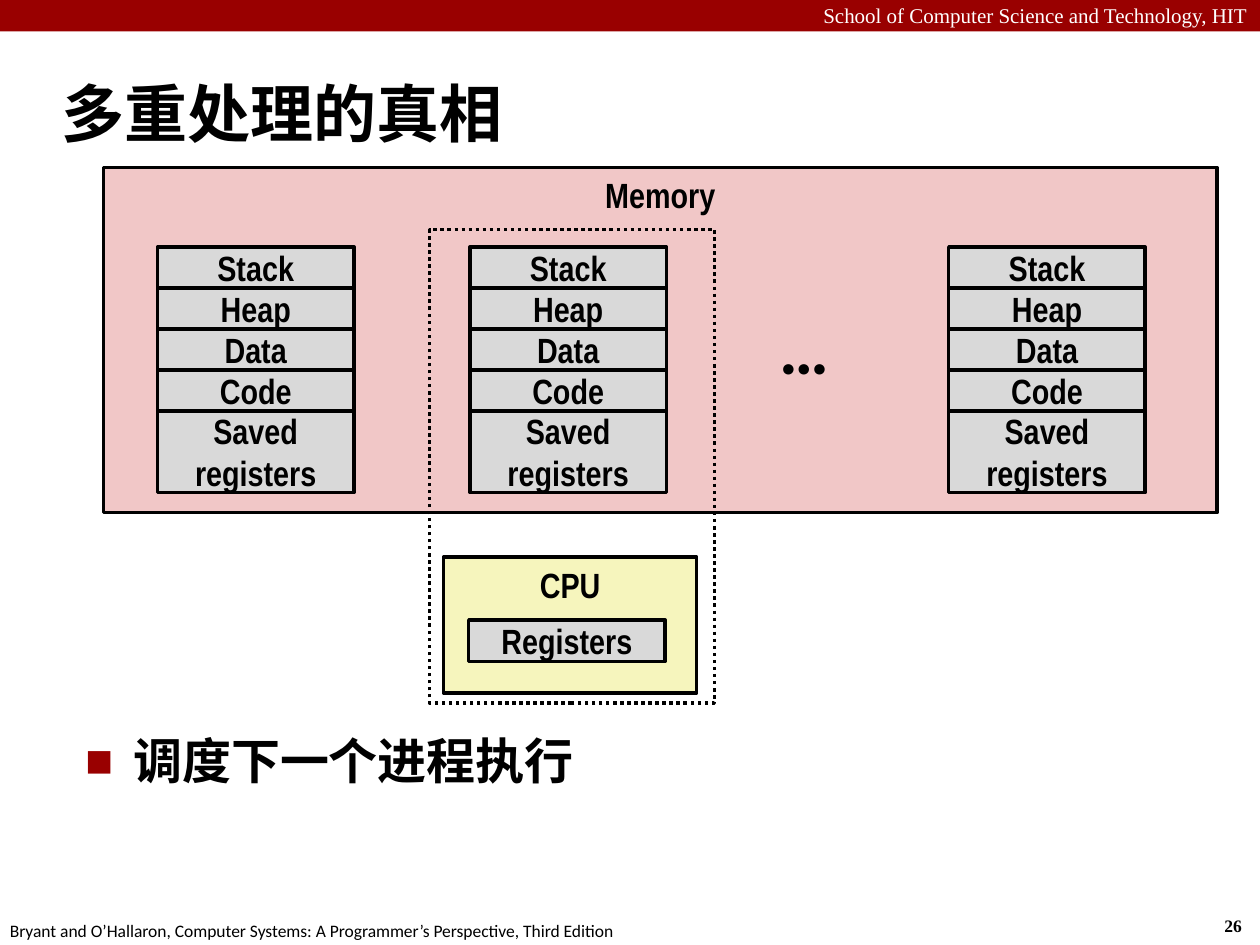
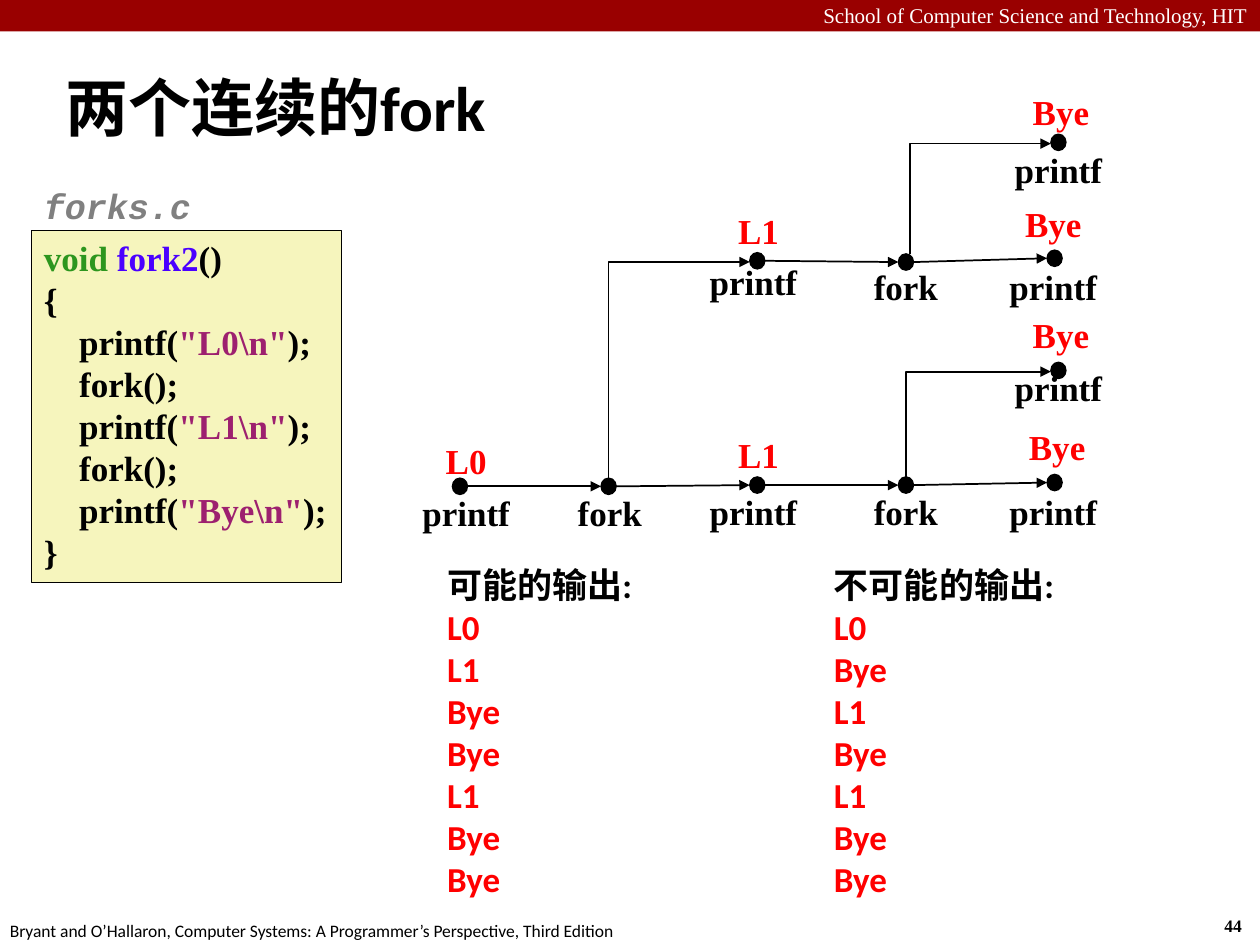
import pptx
import pptx.util
import pptx.dml.color
import pptx.enum.dml
import pptx.enum.shapes
import pptx.enum.text
import pptx.oxml.ns
import lxml.etree
from dataclasses import dataclass

Inches = pptx.util.Inches
Points = pptx.util.Pt
qualified = pptx.oxml.ns.qn
SHAPES = pptx.enum.shapes.MSO_SHAPE
CONNECTORS = pptx.enum.shapes.MSO_CONNECTOR
ALIGN = pptx.enum.text.PP_ALIGN
ANCHOR = pptx.enum.text.MSO_ANCHOR


@dataclass(frozen=True)
class Theme:
    black: str = "000000"
    white: str = "FFFFFF"
    crimson: str = "990000"
    red: str = "FF0000"
    pink: str = "F1C7C7"
    yellow: str = "F6F5BD"
    gray: str = "D9D9D9"
    file_gray: str = "808080"
    keyword: str = "2D961E"
    function: str = "4A00FF"
    string: str = "9D206F"
    sans: str = "Calibri"
    narrow: str = "Arial Narrow"
    serif: str = "Times New Roman"
    mono: str = "Courier New"
    title: int = 36
    body: int = 28
    label: int = 20
    header: int = 12
    footer: int = 10
    ellipsis: int = 40


THEME = Theme()
WIDTH, HEIGHT = 10, 7.5

# ---- Content shared by the slides
HEADER = "School of Computer Science and Technology, HIT"
FOOTER = ("Bryant and O’Hallaron, Computer Systems: "
          "A Programmer’s Perspective, Third Edition")

# ---- Content of the multiprocessing slide
MULTI_TITLE = "多重处理的真相"
MULTI_POINT = "调度下一个进程执行"
SEGMENTS = [("Stack", 1), ("Heap", 1), ("Data", 1), ("Code", 1), ("Saved registers", 2)]
PROCESS_LEFTS = [1.25, 3.73, 7.53]
PROCESS_TOP, SEGMENT_WIDTH, SEGMENT_HEIGHT = 1.96, 1.56, 0.325

# ---- Content of the fork slide
FORK_TITLE = "两个连续的fork"
FILE_NAME = "forks.c"
# Each line: indent level, then coloured pieces
CODE = [
    (0, [("void ", THEME.keyword), ("fork2", THEME.function), ("()", THEME.black)]),
    (0, [("{", THEME.black)]),
    (1, [("printf(", THEME.black), ('"L0\\n"', THEME.string), (");", THEME.black)]),
    (1, [("fork();", THEME.black)]),
    (1, [("printf(", THEME.black), ('"L1\\n"', THEME.string), (");", THEME.black)]),
    (1, [("fork();", THEME.black)]),
    (1, [("printf(", THEME.black), ('"Bye\\n"', THEME.string), (");", THEME.black)]),
    (0, [("}", THEME.black)]),
]
# Each event: centre x, centre y, call, call centre x, call top
EVENTS = {
    "start": (3.65, 3.86, "printf", 3.7, 3.85),
    "first fork": (4.83, 3.86, "fork", 4.84, 3.85),
    "parent L1": (6.01, 3.85, "printf", 5.98, 3.84),
    "parent fork": (7.19, 3.85, "fork", 7.19, 3.84),
    "parent bye": (8.37, 3.83, "printf", 8.36, 3.84),
    "parent child bye": (8.4, 2.94, "printf", 8.4, 2.86),
    "child L1": (6.01, 2.07, "printf", 5.98, 2.02),
    "child fork": (7.19, 2.08, "fork", 7.19, 2.06),
    "child bye": (8.37, 2.05, "printf", 8.36, 2.06),
    "child child bye": (8.4, 1.13, "printf", 8.4, 1.13),
}
# Each output: text, centre x, top
OUTPUTS = [
    ("L0", 3.7, 3.44), ("L1", 6.02, 3.39), ("L1", 6.02, 1.61),
    ("Bye", 8.42, 0.67), ("Bye", 8.36, 1.56), ("Bye", 8.42, 2.44), ("Bye", 8.39, 3.33),
]
STEPS = [
    ("start", "first fork"), ("first fork", "parent L1"), ("parent L1", "parent fork"),
    ("parent fork", "parent bye"), ("child L1", "child fork"), ("child fork", "child bye"),
]
# Each branch: fork, child, x of the riser
BRANCHES = [
    ("first fork", "child L1", 4.83), ("parent fork", "parent child bye", 7.19),
    ("child fork", "child child bye", 7.22),
]
SEQUENCES = [
    (3.45, 1.68, "可能的输出:", "L0 L1 Bye Bye L1 Bye Bye"),
    (6.52, 1.96, "不可能的输出:", "L0 Bye L1 Bye L1 Bye Bye"),
]


def color(value):
    return pptx.dml.color.RGBColor.from_string(value)


def set_all(target, values):
    for name, value in values.items():
        setattr(target, name, value)


def write(shape, lines, size, font, tint=THEME.black, align=ALIGN.LEFT,
          anchor=ANCHOR.TOP, wrap=True, bold=True, italic=False):
    """Each line is a string or a list of (text, colour) pieces."""
    frame = shape.text_frame
    set_all(frame, {"word_wrap": wrap, "vertical_anchor": anchor})
    for index, line in enumerate(lines):
        paragraph = frame.paragraphs[0] if index == 0 else frame.add_paragraph()
        paragraph.alignment = align
        pieces = [(line, tint)] if isinstance(line, str) else line
        for text, piece_color in pieces:
            run = paragraph.add_run()
            run.text = text
            set_all(run.font, {"name": font, "size": Points(size),
                               "bold": bold, "italic": italic})
            run.font.color.rgb = color(piece_color)
    return frame


def add_text(slide, box, lines, size, font, **style):
    textbox = slide.shapes.add_textbox(*map(Inches, box))
    return write(textbox, lines, size, font, **style)


def add_shape(slide, box, fill=None, line_width=None, kind=SHAPES.RECTANGLE):
    shape = slide.shapes.add_shape(kind, *map(Inches, box))
    shape.shadow.inherit = False
    if fill:
        shape.fill.solid()
        shape.fill.fore_color.rgb = color(fill)
    else:
        shape.fill.background()
    if line_width:
        shape.line.color.rgb = color(THEME.black)
        shape.line.width = Points(line_width)
    else:
        shape.line.fill.background()
    return shape


def add_block(slide, box, fill, text, anchor=ANCHOR.MIDDLE):
    shape = add_shape(slide, box, fill, 2)
    write(shape, [text], THEME.label, THEME.narrow, align=ALIGN.CENTER, anchor=anchor)


def add_arrow(slide, kind, start, end):
    connector = slide.shapes.add_connector(kind, *map(Inches, start + end))
    connector.line.color.rgb = color(THEME.black)
    connector.line.width = Points(1)
    lxml.etree.SubElement(connector.line._get_or_add_ln(), qualified("a:tailEnd"),
                          type="triangle")
    properties = connector._element.spPr
    lxml.etree.SubElement(properties, qualified("a:effectLst"))
    return properties


def add_branch(slide, start, end):
    """Right-angled arrow that rises from start, then runs right to end."""
    run, rise = end[0] - start[0], start[1] - end[1]
    middle_x, middle_y = (start[0] + end[0]) / 2, (start[1] + end[1]) / 2
    # The two-segment connector is laid on its side and then turned upright
    properties = add_arrow(slide, CONNECTORS.ELBOW,
                           (middle_x - rise / 2, middle_y - run / 2),
                           (middle_x + rise / 2, middle_y + run / 2))
    properties.find(qualified("a:prstGeom")).set("prst", "bentConnector2")
    for name, value in {"rot": "5400000", "flipH": "1", "flipV": "1"}.items():
        properties.find(qualified("a:xfrm")).set(name, value)


def add_bullet(paragraph):
    properties = paragraph._p.get_or_add_pPr()
    properties.set("marL", str(Inches(0.38)))
    properties.set("indent", str(-Inches(0.38)))
    tint = lxml.etree.SubElement(properties, qualified("a:buClr"))
    lxml.etree.SubElement(tint, qualified("a:srgbClr"), val=THEME.crimson)
    lxml.etree.SubElement(properties, qualified("a:buSzPct"), val="60000")
    lxml.etree.SubElement(properties, qualified("a:buFont"), typeface=THEME.sans)
    lxml.etree.SubElement(properties, qualified("a:buChar"), char="■")


def add_base_slide(presentation, title, title_box, number):
    """Blank slide with header band, footer, page number and title."""
    slide = presentation.slides.add_slide(presentation.slide_layouts[6])
    add_shape(slide, (0, 0, WIDTH, 0.25), THEME.crimson)
    add_text(slide, (0, -0.03, WIDTH, 0.3), [HEADER], THEME.header, THEME.serif,
             tint=THEME.white, align=ALIGN.RIGHT, bold=False)
    add_text(slide, (-0.02, 7.25, 5.08, 0.27), [FOOTER], THEME.footer, THEME.sans,
             bold=False, wrap=False)
    add_text(slide, (9.62, 7.21, 0.37, 0.27), [number], THEME.footer, THEME.serif,
             wrap=False)
    add_text(slide, title_box, [title], THEME.title, THEME.sans, anchor=ANCHOR.MIDDLE)
    return slide


def build_multiprocessing(presentation):
    slide = add_base_slide(presentation, MULTI_TITLE, (0.39, 0.48, 9.28, 0.83), "26")
    frame = add_text(slide, (0.58, 5.75, 9.33, 0.58), [MULTI_POINT], THEME.body, THEME.sans)
    add_bullet(frame.paragraphs[0])

    # Processor and memory
    add_block(slide, (3.52, 4.42, 2.01, 1.08), THEME.yellow, "CPU", ANCHOR.TOP)
    add_block(slide, (3.72, 4.92, SEGMENT_WIDTH, 0.33), THEME.gray, "Registers")
    add_block(slide, (0.82, 1.33, 8.84, 2.74), THEME.pink, "Memory", ANCHOR.TOP)

    # Address space of each process
    for left in PROCESS_LEFTS:
        top = PROCESS_TOP
        for text, rows in SEGMENTS:
            height = rows * SEGMENT_HEIGHT
            add_block(slide, (left, top, SEGMENT_WIDTH, height), THEME.gray, text)
            top += height
    add_text(slide, (6.09, 2.37, 0.6, 0.77), ["…"], THEME.ellipsis, THEME.sans, wrap=False)

    # Outline around the running process
    outline = add_shape(slide, (3.41, 1.82, 2.26, 3.76), line_width=2)
    outline.line.dash_style = pptx.enum.dml.MSO_LINE.ROUND_DOT


def build_fork(presentation):
    slide = add_base_slide(presentation, FORK_TITLE, (0.42, 0.33, 9.33, 1.03), "44")

    # Source code
    code = add_shape(slide, (0.25, 1.83, 2.46, 2.79), THEME.yellow, 0.25)
    frame = write(code, [pieces for _, pieces in CODE], THEME.label, THEME.serif, wrap=False)
    for paragraph, (level, _) in zip(frame.paragraphs, CODE):
        paragraph._p.get_or_add_pPr().set("marL", str(Inches(0.28 * level)))
    frame = add_text(slide, (0.25, 1.44, 2.46, 0.42), [FILE_NAME], THEME.label, THEME.mono,
                     tint=THEME.file_gray, italic=True)
    frame.paragraphs[0].line_spacing = 0.94

    # Process graph
    dot_width, dot_height, label_width, label_height = 0.12, 0.13, 1.2, 0.55
    for x, y, call, call_x, call_top in EVENTS.values():
        add_shape(slide, (x - dot_width / 2, y - dot_height / 2, dot_width, dot_height),
                  THEME.black, 0.75, SHAPES.OVAL)
        add_text(slide, (call_x - label_width / 2, call_top, label_width, label_height),
                 [call], THEME.label, THEME.serif, align=ALIGN.CENTER)
    for text, x, top in OUTPUTS:
        add_text(slide, (x - label_width / 2, top, label_width, label_height),
                 [text], THEME.label, THEME.serif, tint=THEME.red, align=ALIGN.CENTER)
    for source, target in STEPS:
        (start_x, start_y), (end_x, end_y) = EVENTS[source][:2], EVENTS[target][:2]
        add_arrow(slide, CONNECTORS.STRAIGHT, (start_x + dot_width / 2, start_y),
                  (end_x - dot_width / 2, end_y))
    for source, target, riser_x in BRANCHES:
        fork_y, (child_x, child_y) = EVENTS[source][1], EVENTS[target][:2]
        add_branch(slide, (riser_x, fork_y - dot_height / 2),
                   (child_x - dot_width / 2, child_y + 0.01))

    # Possible and impossible outputs
    for left, width, heading, sequence in SEQUENCES:
        lines = [heading] + [[(text, THEME.red)] for text in sequence.split()]
        add_text(slide, (left, 4.42, width, 2.79), lines, THEME.label, THEME.sans, wrap=False)


presentation = pptx.Presentation()
set_all(presentation, {"slide_width": Inches(WIDTH), "slide_height": Inches(HEIGHT)})
build_multiprocessing(presentation)
build_fork(presentation)
presentation.save("out.pptx")
